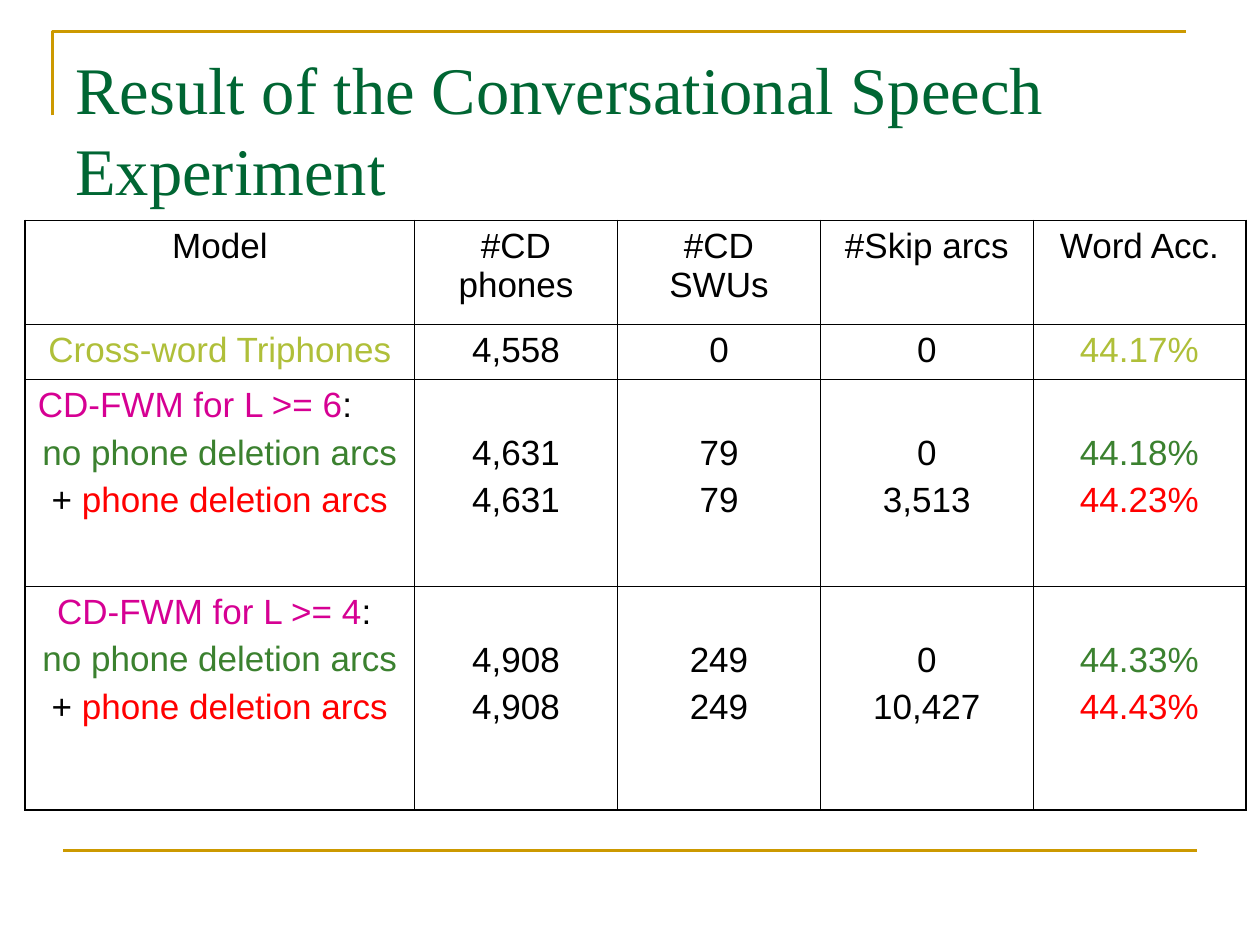
"""Build the conversational speech result slide: framed title and model comparison table."""
from lxml.etree import SubElement
from pptx import Presentation
from pptx.dml.color import RGBColor
from pptx.enum.shapes import MSO_CONNECTOR
from pptx.enum.text import MSO_ANCHOR, PP_ALIGN
from pptx.oxml.ns import qn
from pptx.util import Pt

COLORS = {"gold": "CC9900", "title": "006633", "black": "000000", "lime": "AFBF39",
          "magenta": "D60093", "green": "3B812F", "red": "FF0000"}

TITLE = "Result of the Conversational Speech Experiment"
HEADER = ["Model", "#CD phones", "#CD SWUs", "#Skip arcs", "Word Acc."]
BASELINE = ["Cross-word Triphones", "4,558", "0", "0", "44.17%"]
GROUPS = [
    {"length": 6, "indent": 0,
     "plain": ["4,631", "79", "0", "44.18%"], "skip": ["4,631", "79", "3,513", "44.23%"]},
    {"length": 4, "indent": 11,
     "plain": ["4,908", "249", "0", "44.33%"], "skip": ["4,908", "249", "10,427", "44.43%"]},
]
TABLE_LEFT, TABLE_TOP = 14.4, 126
COLUMN_WIDTHS = [222.5, 116, 116, 121.5, 121.5]
ROW_HEIGHTS = [59.25, 31.5, 118.25, 128]
INNER_LINE, OUTER_LINE = 0.45, 1.08
MARGIN, LINE_PITCH = 3.6, 27.4


def color(name):
    return RGBColor.from_string(COLORS[name])


def table_rows():
    """Return rows of cells; a cell is a list of lines, a line a list of (text, color)."""
    rows = [[[[(text, "black")]] for text in HEADER]]
    shades = ["lime", "black", "black", "black", "lime"]
    rows.append([[[pair]] for pair in zip(BASELINE, shades)])
    for group in GROUPS:
        label = [[(f"CD-FWM for L >= {group['length']}", "magenta"), (":", "black")],
                 [("no phone deletion arcs", "green")],
                 [("+ ", "black"), ("phone deletion arcs", "red")]]
        pairs = list(zip(group["plain"], group["skip"]))
        counts = [[[(plain, "black")], [(skip, "black")]] for plain, skip in pairs[:-1]]
        plain, skip = pairs[-1]
        rows.append([label, *counts, [[(plain, "green")], [(skip, "red")]]])
    return rows


def set_borders(cell, widths):
    properties = cell._tc.get_or_add_tcPr()
    for position, (side, width) in enumerate(widths.items()):
        line = properties.makeelement(qn(f"a:ln{side}"), {"w": str(Pt(width))})
        fill = SubElement(line, qn("a:solidFill"))
        SubElement(fill, qn("a:srgbClr"), val=COLORS["black"])
        properties.insert(position, line)


def write_cell(cell, lines):
    frame = cell.text_frame
    for index, line in enumerate(lines):
        paragraph = frame.add_paragraph() if index else frame.paragraphs[0]
        paragraph.alignment = PP_ALIGN.CENTER
        if index:
            paragraph.space_before = Pt(5)
        paragraph.font.size = Pt(20)
        paragraph.font.name = "Arial"
        for text, shade in line:
            run = paragraph.add_run()
            run.text = text
            run.font.color.rgb = color(shade)


def add_result_table(slide):
    rows = table_rows()
    last_row, last_column = len(rows) - 1, len(HEADER) - 1
    table = slide.shapes.add_table(len(rows), len(HEADER), Pt(TABLE_LEFT), Pt(TABLE_TOP),
                                   Pt(sum(COLUMN_WIDTHS)), Pt(sum(ROW_HEIGHTS))).table
    table.first_row = table.horz_banding = False
    for column, width in zip(table.columns, COLUMN_WIDTHS):
        column.width = Pt(width)
    for r, (row, height) in enumerate(zip(rows, ROW_HEIGHTS)):
        table.rows[r].height = Pt(height)
        for c, lines in enumerate(row):
            cell = table.cell(r, c)
            write_cell(cell, lines)
            cell.fill.background()
            cell.margin_top = Pt(MARGIN + LINE_PITCH * (len(row[0]) - len(lines)))
            cell.margin_bottom = Pt(MARGIN)
            edges = {"L": c == 0, "R": c == last_column, "T": r == 0, "B": r == last_row}
            set_borders(cell, {side: OUTER_LINE if outer else INNER_LINE
                               for side, outer in edges.items()})
    for r, group in enumerate(GROUPS, start=2):
        paragraph = table.cell(r, 0).text_frame.paragraphs[0]
        paragraph.alignment = PP_ALIGN.LEFT
        paragraph._p.get_or_add_pPr().set("marL", str(Pt(group["indent"])))


def add_frame_lines(slide):
    builder = slide.shapes.build_freeform(Pt(30), Pt(66), scale=1.0)
    builder.add_line_segments([(Pt(30), Pt(18)), (Pt(678), Pt(18))], close=False)
    corner = builder.convert_to_shape()
    corner.shadow.inherit = False
    corner.fill.background()
    rule = slide.shapes.add_connector(MSO_CONNECTOR.STRAIGHT, Pt(36), Pt(486), Pt(684), Pt(486))
    SubElement(rule._element.spPr, qn("a:effectLst"))
    for shape in (corner, rule):
        shape.line.color.rgb = color("gold")
        shape.line.width = Pt(1.5)


def add_title(slide):
    frame = slide.shapes.add_textbox(Pt(36), Pt(24), Pt(648), Pt(90)).text_frame
    frame.word_wrap = True
    frame.vertical_anchor = MSO_ANCHOR.TOP
    paragraph = frame.paragraphs[0]
    paragraph.text = TITLE
    paragraph.line_spacing = Pt(45.75)
    paragraph.font.size = Pt(38)
    paragraph.font.name = "Times New Roman"
    paragraph.font.color.rgb = color("title")


def main():
    presentation = Presentation()
    presentation.slide_width, presentation.slide_height = Pt(720), Pt(540)
    slide = presentation.slides.add_slide(presentation.slide_layouts[6])
    add_frame_lines(slide)
    add_title(slide)
    add_result_table(slide)
    presentation.save("out.pptx")


if __name__ == "__main__":
    main()
